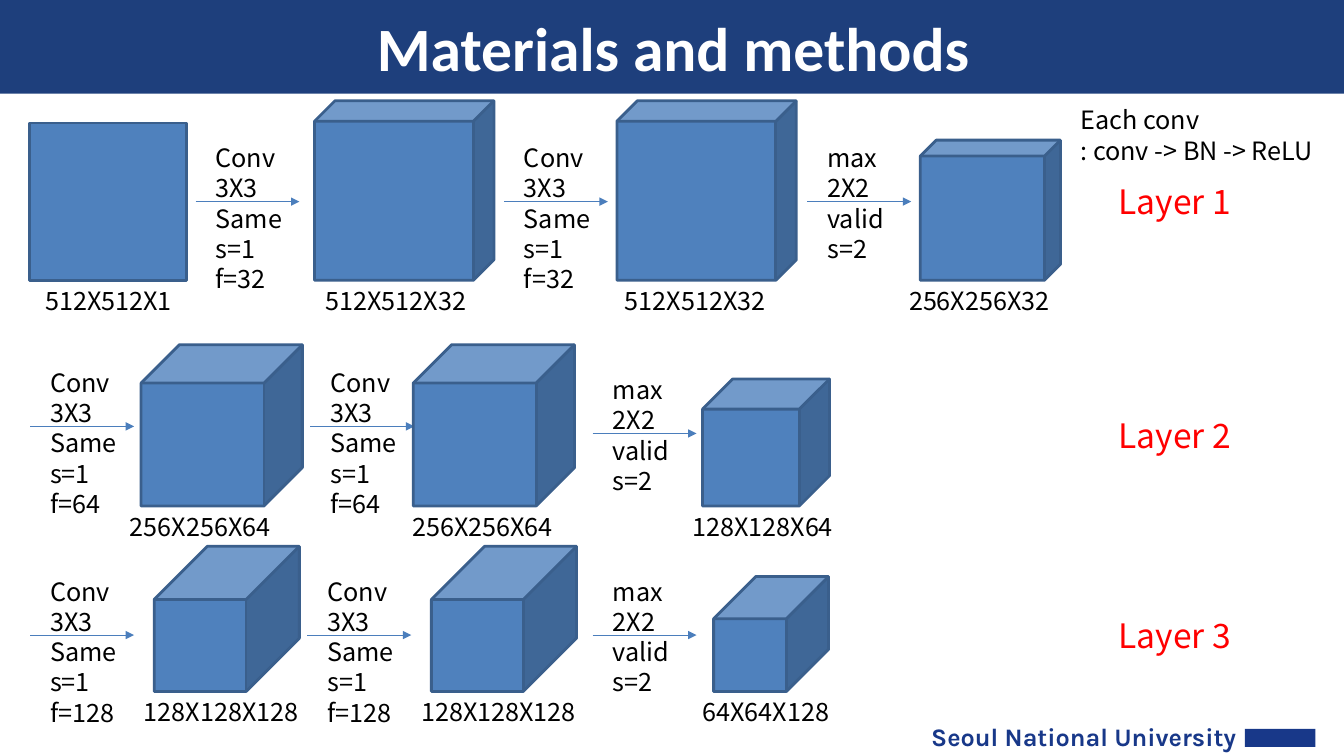
from collections import namedtuple
from lxml.etree import SubElement
from pptx import Presentation
from pptx.dml.color import RGBColor
from pptx.enum.shapes import MSO_CONNECTOR, MSO_SHAPE
from pptx.enum.text import MSO_ANCHOR, PP_ALIGN
from pptx.oxml.ns import qn
from pptx.util import Inches, Pt

NAVY = RGBColor(0x1E, 0x3F, 0x7C)
BLUE = RGBColor(0x4F, 0x81, 0xBD)
EDGE = RGBColor(0x3A, 0x5F, 0x8C)
ARROW = RGBColor(0x4B, 0x7E, 0xBC)
WHITE = RGBColor(0xFF, 0xFF, 0xFF)
BLACK = RGBColor(0, 0, 0)
RED = RGBColor(0xFF, 0, 0)
FOOTER_BLUE = RGBColor(0x18, 0x38, 0x89)
BODY = {"name": "Noto Sans CJK KR", "size": Pt(18)}
LAYER_NAME = {"name": "Noto Sans CJK KR", "size": Pt(24)}
TITLE = {"name": "Calibri", "size": Pt(44), "bold": True}
FOOTER = {"name": "Karla", "size": Pt(18), "bold": True}

CELL = Inches(0.1)
COLUMNS, ROWS = 133.33, 75
ARROW_LENGTH = 10.3
LINE_RATIO = 1.2

Box = namedtuple("Box", "left top width height")
Step = namedtuple("Step", "left drop lines")
Volume = namedtuple("Volume", "left size depth caption shift")
Layer = namedtuple("Layer", "name box arrow name_top steps volumes")


def cells(*counts):
    return [round(count * CELL) for count in counts]


def add_span(para, text, style, color):
    span = para.add_run()
    span.text = text
    for name, value in style.items():
        setattr(span.font, name, value)
    span.font.color.rgb = color


def add_text(page, box, lines, style=BODY, color=BLACK):
    frame = page.shapes.add_textbox(*cells(*box)).text_frame
    frame.word_wrap = True
    for index, line in enumerate(lines):
        para = frame.paragraphs[0] if index == 0 else frame.add_paragraph()
        para.line_spacing = Pt(style["size"].pt * LINE_RATIO)
        add_span(para, line, style, color)


def add_solid(page, kind, box, fill, edge=None):
    shape = page.shapes.add_shape(kind, *cells(*box))
    shape.shadow.inherit = False
    shape.fill.solid()
    shape.fill.fore_color.rgb = fill
    if edge is None:
        shape.line.fill.background()
    else:
        shape.line.color.rgb = edge
        shape.line.width = Pt(2)
    return shape


def draw_header(page, box):
    band = add_solid(page, MSO_SHAPE.RECTANGLE, box, NAVY)
    title = page.shapes.title
    band._element.addnext(title._element)
    place = cells(box.left + 4.7, box.top, box.width - 9.1, box.height)
    for name, value in zip(Box._fields, place):
        setattr(title, name, value)
    frame = title.text_frame
    frame.vertical_anchor = MSO_ANCHOR.MIDDLE
    para = frame.paragraphs[0]
    para.alignment = PP_ALIGN.CENTER
    add_span(para, "Materials and methods", TITLE, WHITE)


def draw_footer(page, box):
    name_box = Box(box.left + 1.9, box.top, 33, box.height)
    add_text(page, name_box, ["Seoul National University"], FOOTER, FOOTER_BLUE)
    mark_box = Box(box.left + 34, box.top + 1.2, 7, 1.8)
    add_solid(page, MSO_SHAPE.RECTANGLE, mark_box, FOOTER_BLUE)


def draw_step(page, left, middle, lines):
    ends = cells(left, middle, left + ARROW_LENGTH, middle)
    arrow = page.shapes.add_connector(MSO_CONNECTOR.STRAIGHT, *ends)
    arrow.line.color.rgb = ARROW
    arrow.line.width = Pt(0.75)
    SubElement(arrow.line._get_or_add_ln(), qn("a:tailEnd"), type="triangle")
    SubElement(arrow._element.spPr, qn("a:effectLst"))
    box = Box(left + 1, middle - 6.35, 9.7, 1 + 3.03 * len(lines))
    add_text(page, box, lines)


def draw_volume(page, left, bottom, volume):
    box = Box(left, bottom - volume.size, volume.size, volume.size)
    kind = MSO_SHAPE.CUBE if volume.depth else MSO_SHAPE.RECTANGLE
    solid = add_solid(page, kind, box, BLUE, EDGE)
    if volume.depth:
        solid.adjustments[0] = volume.depth
    add_text(page, Box(left + volume.shift, bottom, 18, 4), [volume.caption])


def draw_layer(page, layer):
    box = layer.box
    for step in layer.steps:
        middle = box.top + layer.arrow + step.drop
        draw_step(page, box.left + step.left, middle, step.lines)
    for volume in layer.volumes:
        draw_volume(page, box.left + volume.left, box.top + box.height, volume)
    name_box = Box(box.left + 110, box.top + layer.name_top, 18.9, 5)
    add_text(page, name_box, [layer.name], LAYER_NAME, RED)


def conv(left, filters):
    return Step(left, 0, ["Conv", "3X3", "Same", "s=1", f"f={filters}"])


def pool(left, drop=0):
    return Step(left, drop, ["max", "2X2", "valid", "s=2"])


LAYERS = [
    Layer("Layer 1", Box(0, 9.9, COLUMNS, 17.9), 10.1, 7.6,
          [conv(19.4, 32), conv(50, 32), pool(80.1)],
          [Volume(2.9, 15.6, 0, "512X512X1", 0.6),
           Volume(31.2, 17.8, 0.114, "512X512X32", 0.1),
           Volume(61.2, 17.8, 0.114, "512X512X32", -0.2),
           Volume(91.3, 13.9, 0.114, "256X256X32", -2.1)]),
    Layer("Layer 2", Box(0, 34.2, COLUMNS, 16), 8.1, 6.5,
          [conv(3, 64), conv(30.8, 64), pool(58.8, 0.7)],
          [Volume(14, 16, 0.238, "256X256X64", -2.1),
           Volume(41, 16, 0.238, "256X256X64", -1.1),
           Volume(69.7, 12.6, 0.238, "128X128X64", -2)]),
    Layer("Layer 3", Box(0, 54.2, COLUMNS, 14.4), 8.8, 6.3,
          [conv(3, 128), conv(30.5, 128), pool(58.8)],
          [Volume(15.3, 14.4, 0.367, "128X128X128", -2),
           Volume(42.8, 14.4, 0.367, "128X128X128", -2),
           Volume(70.8, 11.4, 0.367, "64X64X128", -2.1)]),
]


def main():
    deck = Presentation()
    deck.slide_width, deck.slide_height = cells(COLUMNS, ROWS)
    page = deck.slides.add_slide(deck.slide_layouts[5])
    draw_header(page, Box(0, 0, COLUMNS, 9.3))
    draw_footer(page, Box(89.5, 71.1, 43.8, 4))
    for layer in LAYERS:
        draw_layer(page, layer)
    add_text(page, Box(106.2, 9.9, 27.1, 7.1), ["Each conv", ": conv -> BN -> ReLU"])
    deck.save("out.pptx")


if __name__ == "__main__":
    main()
